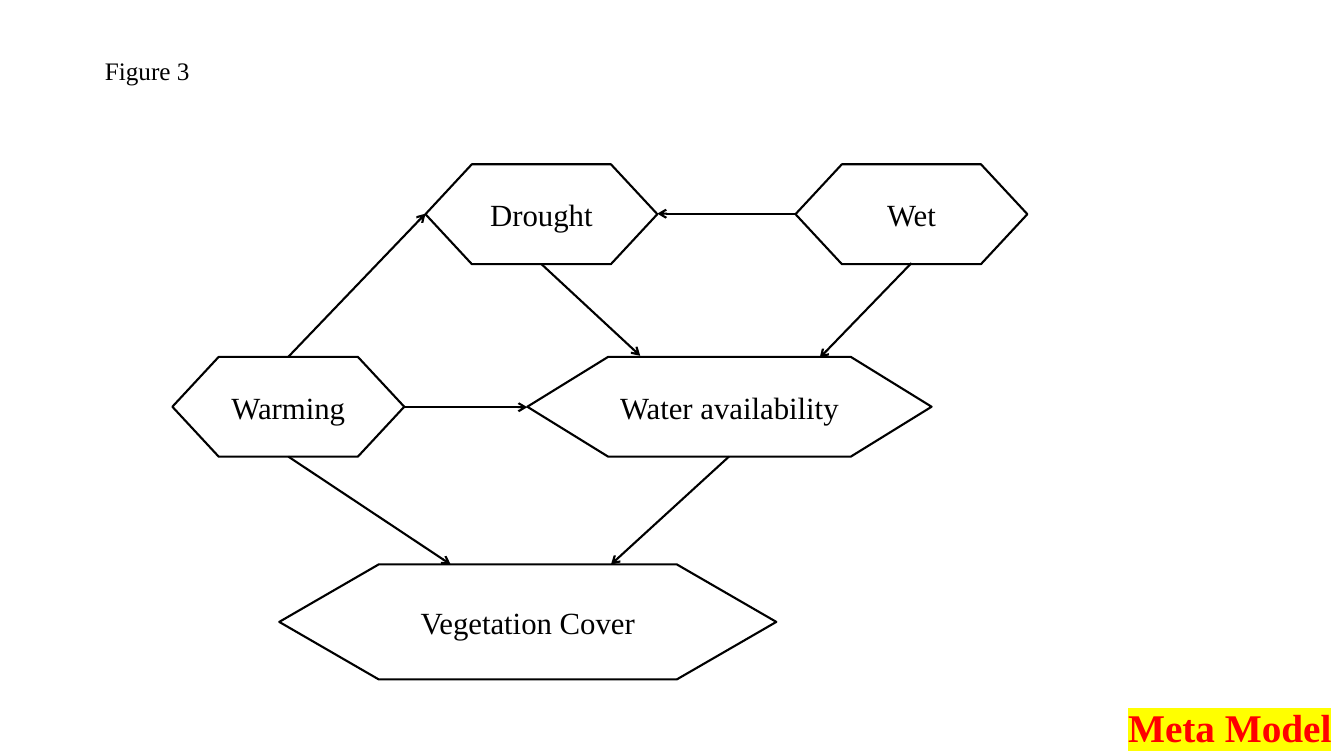
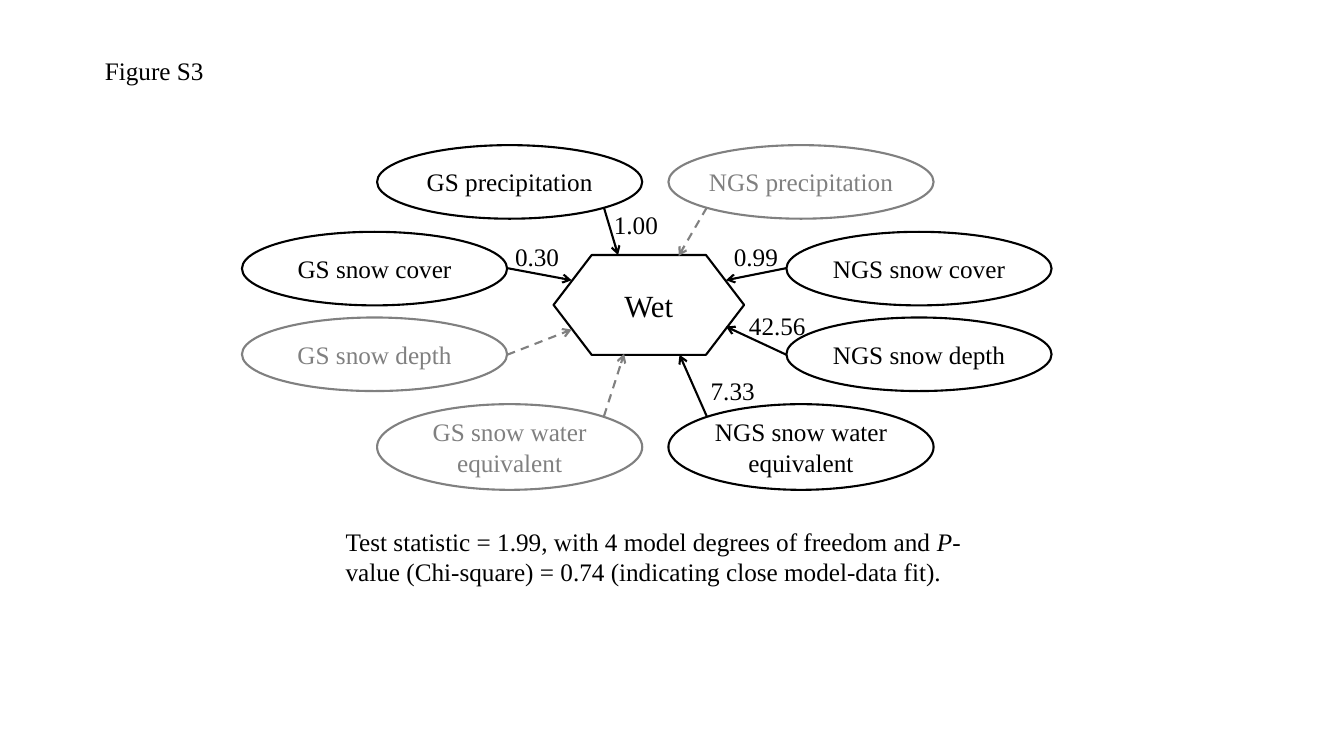
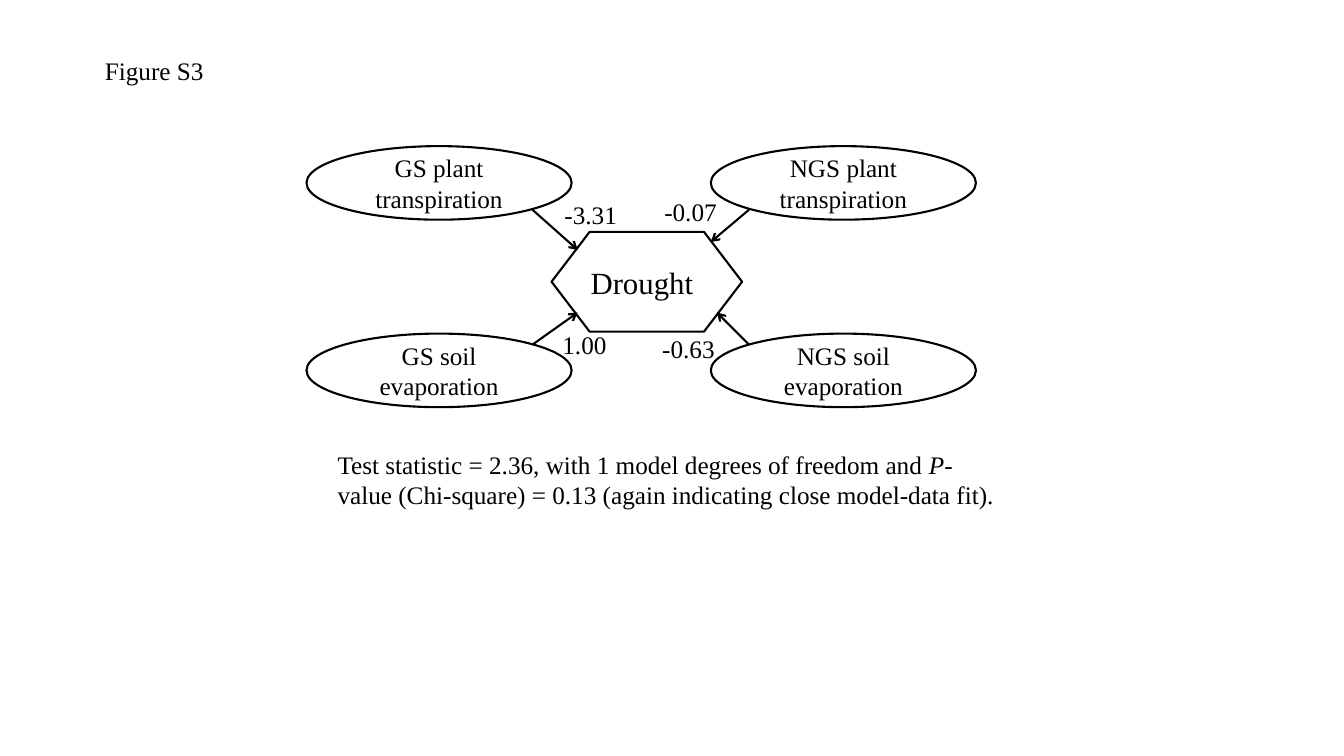
import pptx
import pptx.dml.color
import pptx.enum.dml
import pptx.enum.shapes
import pptx.enum.text
import pptx.oxml
import pptx.oxml.ns
import pptx.util

Inches = pptx.util.Inches
SHAPES = pptx.enum.shapes.MSO_SHAPE
ALIGN = pptx.enum.text.PP_ALIGN
ANCHOR = pptx.enum.text.MSO_ANCHOR
AUTO_SIZE = pptx.enum.text.MSO_AUTO_SIZE

# Shared style
BLACK = pptx.dml.color.RGBColor(0x00, 0x00, 0x00)
GRAY = pptx.dml.color.RGBColor(0x80, 0x80, 0x80)
WHITE = pptx.dml.color.RGBColor(0xFF, 0xFF, 0xFF)
RED = pptx.dml.color.RGBColor(0xFF, 0x00, 0x00)
YELLOW = pptx.dml.color.RGBColor(0xFF, 0xFF, 0x00)
FONT = "Times New Roman"
BODY_SIZE, HEXAGON_SIZE, TAG_SIZE = 18, 22, 28
LINE_WIDTH = pptx.util.Pt(1.5)
OVAL_WIDTH, OVAL_HEIGHT, HEXAGON_HEIGHT = 2.63, 0.73, 0.99


def add_span(para, text, size=BODY_SIZE, color=BLACK):
    span = para.add_run()
    span.text = text
    span.font.name = FONT
    span.font.size = pptx.util.Pt(size)
    span.font.color.rgb = color
    return span


def add_text_box(slide, left, top, width, height, wrap=False):
    box = slide.shapes.add_textbox(Inches(left), Inches(top), Inches(width), Inches(height))
    box.text_frame.word_wrap = wrap
    box.text_frame.auto_size = AUTO_SIZE.SHAPE_TO_FIT_TEXT
    return box.text_frame.paragraphs[0]


# Wet factors: name, GS left, NGS left, top, height, GS colour, NGS colour
wet_rows = [
    ("precipitation", 3.74, 6.63, 1.44, OVAL_HEIGHT, BLACK, GRAY),
    ("snow cover", 2.4, 7.8, 2.3, OVAL_HEIGHT, BLACK, BLACK),
    ("snow depth", 2.4, 7.8, 3.15, OVAL_HEIGHT, GRAY, BLACK),
    ("snow water equivalent", 3.74, 6.63, 4.01, 0.85, GRAY, BLACK),
]
wet_ovals = []
for name, gs_left, ngs_left, top, height, gs_color, ngs_color in wet_rows:
    wet_ovals.append(("GS " + name, gs_left, top, height, gs_color))
    wet_ovals.append(("NGS " + name, ngs_left, top, height, ngs_color))

# Drought factors: two seasons by two processes
drought_ovals = [
    (f"{season} {process}", left, top, OVAL_HEIGHT, BLACK)
    for season, left in (("GS", 3.04), ("NGS", 7.05))
    for process, top in (("plant transpiration", 1.45), ("soil evaporation", 3.31))
]

# Hexagons: text, left, top, width, height; arrows: from, to, colour;
# coefficients: text, left, top, width; fit: left, top, degrees and result
figures = [
    {
        "title": "Figure 3",
        "hexagons": [
            ("Drought", 4.22, 1.63, 2.3, HEXAGON_HEIGHT),
            ("Wet", 7.89, 1.63, 2.3, HEXAGON_HEIGHT),
            ("Warming", 1.71, 3.54, 2.3, HEXAGON_HEIGHT),
            ("Water availability", 5.23, 3.54, 4.01, HEXAGON_HEIGHT),
            ("Vegetation Cover", 2.77, 5.6, 4.93, 1.14),
        ],
        "left_inset": 0.1,
        "ovals": [],
        "arrows": [
            (5.37, 2.62, 6.35, 3.53, BLACK),
            (7.23, 4.53, 6.06, 5.6, BLACK),
            (2.86, 4.53, 4.47, 5.6, BLACK),
            (9.04, 2.61, 8.13, 3.55, BLACK),
            (2.86, 3.54, 4.22, 2.12, BLACK),
            (7.89, 2.12, 6.52, 2.12, BLACK),
            (4.01, 4.04, 5.23, 4.04, BLACK),
        ],
        "coefficients": [],
        "fit": None,
        "tag": "Meta Model",
    },
    {
        "title": "Figure S3",
        "hexagons": [("Wet", 5.49, 2.53, 1.89, HEXAGON_HEIGHT)],
        "left_inset": 0.1,
        "ovals": wet_ovals,
        "arrows": [
            (5.03, 2.66, 5.67, 2.78, BLACK),
            (5.03, 3.52, 5.67, 3.27, GRAY),
            (5.99, 2.06, 6.13, 2.53, BLACK),
            (7.01, 2.06, 6.73, 2.54, GRAY),
            (7.8, 2.66, 7.2, 2.78, BLACK),
            (7.8, 3.52, 7.2, 3.24, BLACK),
            (7.01, 4.13, 6.74, 3.52, BLACK),
            (5.99, 4.13, 6.19, 3.51, GRAY),
        ],
        "coefficients": [
            ("1.00", 5.99, 2.03, 0.66),
            ("0.30", 5.01, 2.34, 0.64),
            ("0.99", 7.18, 2.34, 0.64),
            ("42.56", 7.33, 3.03, 0.77),
            ("7.33", 6.95, 3.67, 0.64),
        ],
        "fit": (3.33, 5.17, "1.99, with 4", "0.74 (indicating"),
        "tag": None,
    },
    {
        "title": "Figure S3",
        "hexagons": [("Drought", 5.47, 2.3, 1.89, HEXAGON_HEIGHT)],
        "left_inset": 0,
        "ovals": drought_ovals,
        "arrows": [
            (5.28, 2.08, 5.73, 2.48, BLACK),
            (5.28, 3.42, 5.73, 3.1, BLACK),
            (7.43, 2.08, 7.05, 2.4, BLACK),
            (7.43, 3.42, 7.11, 3.1, BLACK),
        ],
        "coefficients": [
            ("1.00", 5.48, 3.22, 0.66),
            ("-3.31", 5.5, 1.93, 0.73),
            ("-0.63", 6.47, 3.26, 0.73),
            ("-0.07", 6.49, 1.9, 0.73),
        ],
        "fit": (3.25, 4.41, "2.36, with 1", "0.13 (again indicating"),
        "tag": None,
    },
]

deck = pptx.Presentation()
deck.slide_width = Inches(13.33)
deck.slide_height = Inches(7.5)
title_only = deck.slide_layouts[5]

for figure in figures:
    slide = deck.slides.add_slide(title_only)

    # Title
    title = slide.shapes.title
    title.left, title.top = Inches(0.94), Inches(0.5)
    title.width, title.height = Inches(1.21), Inches(0.4)
    title.text_frame.word_wrap = False
    title.text_frame.auto_size = AUTO_SIZE.NONE
    title.text_frame.vertical_anchor = ANCHOR.TOP
    para = title.text_frame.paragraphs[0]
    para.alignment = ALIGN.LEFT
    add_span(para, figure["title"])

    # Hexagons and ovals
    nodes = [
        (SHAPES.FLOWCHART_PREPARATION, *hexagon, BLACK, HEXAGON_SIZE, figure["left_inset"], 0.1)
        for hexagon in figure["hexagons"]
    ] + [
        (SHAPES.OVAL, text, left, top, OVAL_WIDTH, height, color, BODY_SIZE, 0, 0)
        for text, left, top, height, color in figure["ovals"]
    ]
    for kind, text, left, top, width, height, color, size, left_inset, right_inset in nodes:
        node = slide.shapes.add_shape(kind, Inches(left), Inches(top), Inches(width), Inches(height))
        node.shadow.inherit = False
        if kind == SHAPES.OVAL:
            node.fill.solid()
            node.fill.fore_color.rgb = WHITE
        else:
            node.fill.background()
        node.line.color.rgb = color
        node.line.width = LINE_WIDTH
        frame = node.text_frame
        frame.word_wrap = True
        frame.vertical_anchor = ANCHOR.MIDDLE
        frame.margin_left, frame.margin_right = Inches(left_inset), Inches(right_inset)
        para = frame.paragraphs[0]
        para.alignment = ALIGN.CENTER
        add_span(para, text, size, color)

    # Arrows: gray paths are dashed
    for from_x, from_y, to_x, to_y, color in figure["arrows"]:
        arrow = slide.shapes.add_connector(
            pptx.enum.shapes.MSO_CONNECTOR.STRAIGHT,
            Inches(from_x), Inches(from_y), Inches(to_x), Inches(to_y),
        )
        arrow.line.color.rgb = color
        arrow.line.width = LINE_WIDTH
        if color == GRAY:
            arrow.line.dash_style = pptx.enum.dml.MSO_LINE.DASH
        properties = arrow.line._get_or_add_ln()
        head = pptx.oxml.parse_xml(f'<a:tailEnd {pptx.oxml.ns.nsdecls("a")} type="arrow"/>')
        properties.append(head)
        properties.addnext(pptx.oxml.parse_xml(f'<a:effectLst {pptx.oxml.ns.nsdecls("a")}/>'))

    # Path coefficients
    for text, left, top, width in figure["coefficients"]:
        add_span(add_text_box(slide, left, top, width, 0.4), text)

    # Model fit
    if figure["fit"]:
        left, top, statistic, result = figure["fit"]
        para = add_text_box(slide, left, top, 6.83, 0.71, wrap=True)
        add_span(para, f"Test statistic = {statistic} model degrees of freedom and ")
        add_span(para, "P").font.italic = True
        add_span(para, f"-value (Chi-square) = {result} close model-data fit).")

    # Highlighted corner tag
    if figure["tag"]:
        para = add_text_box(slide, 11.09, 6.93, 2.24, 0.57)
        span = add_span(para, figure["tag"], TAG_SIZE, RED)
        span.font.bold = True
        highlight = pptx.oxml.parse_xml(
            f'<a:highlight {pptx.oxml.ns.nsdecls("a")}><a:srgbClr val="{YELLOW}"/></a:highlight>'
        )
        span.font._element.find(pptx.oxml.ns.qn("a:solidFill")).addnext(highlight)

deck.save("out.pptx")
